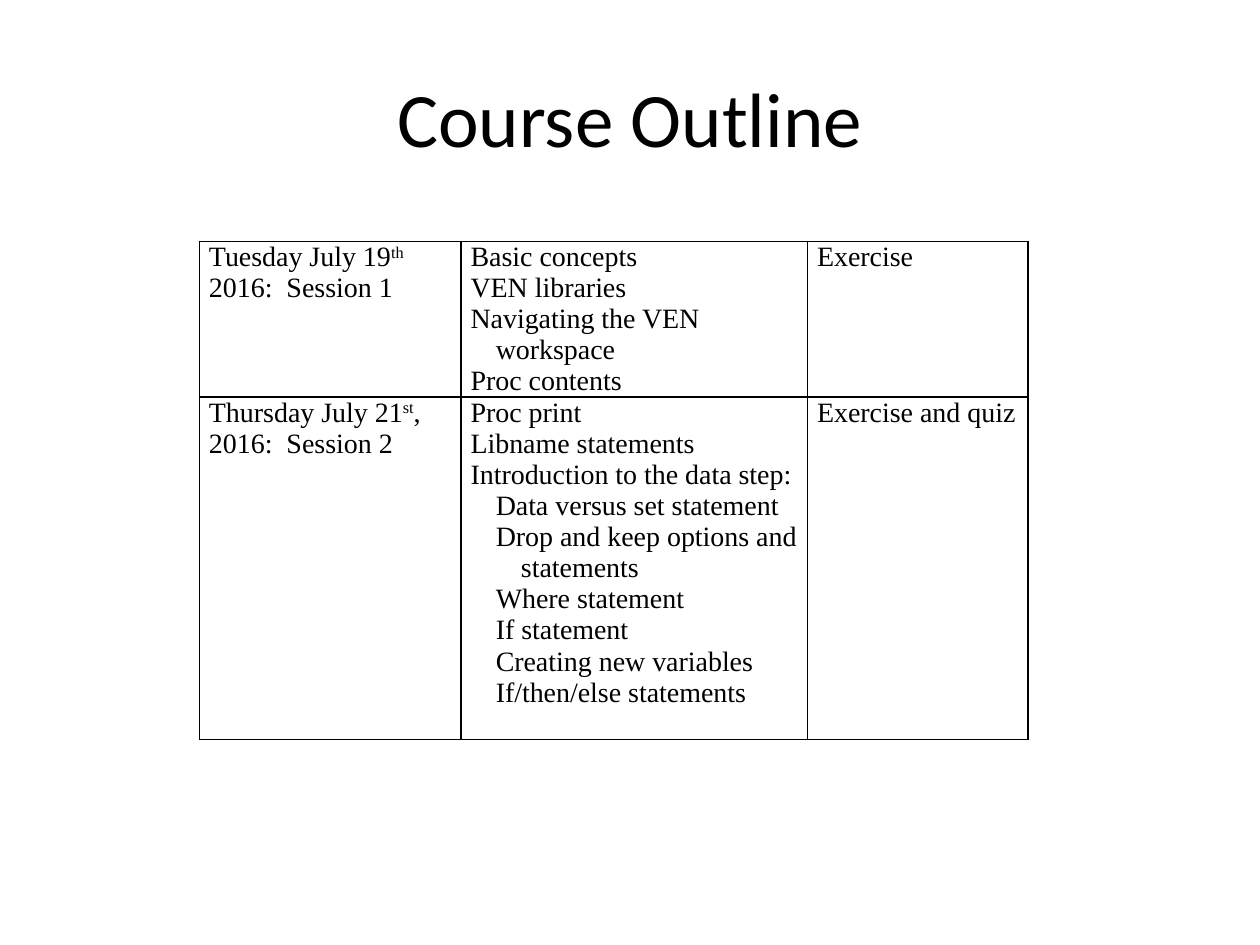
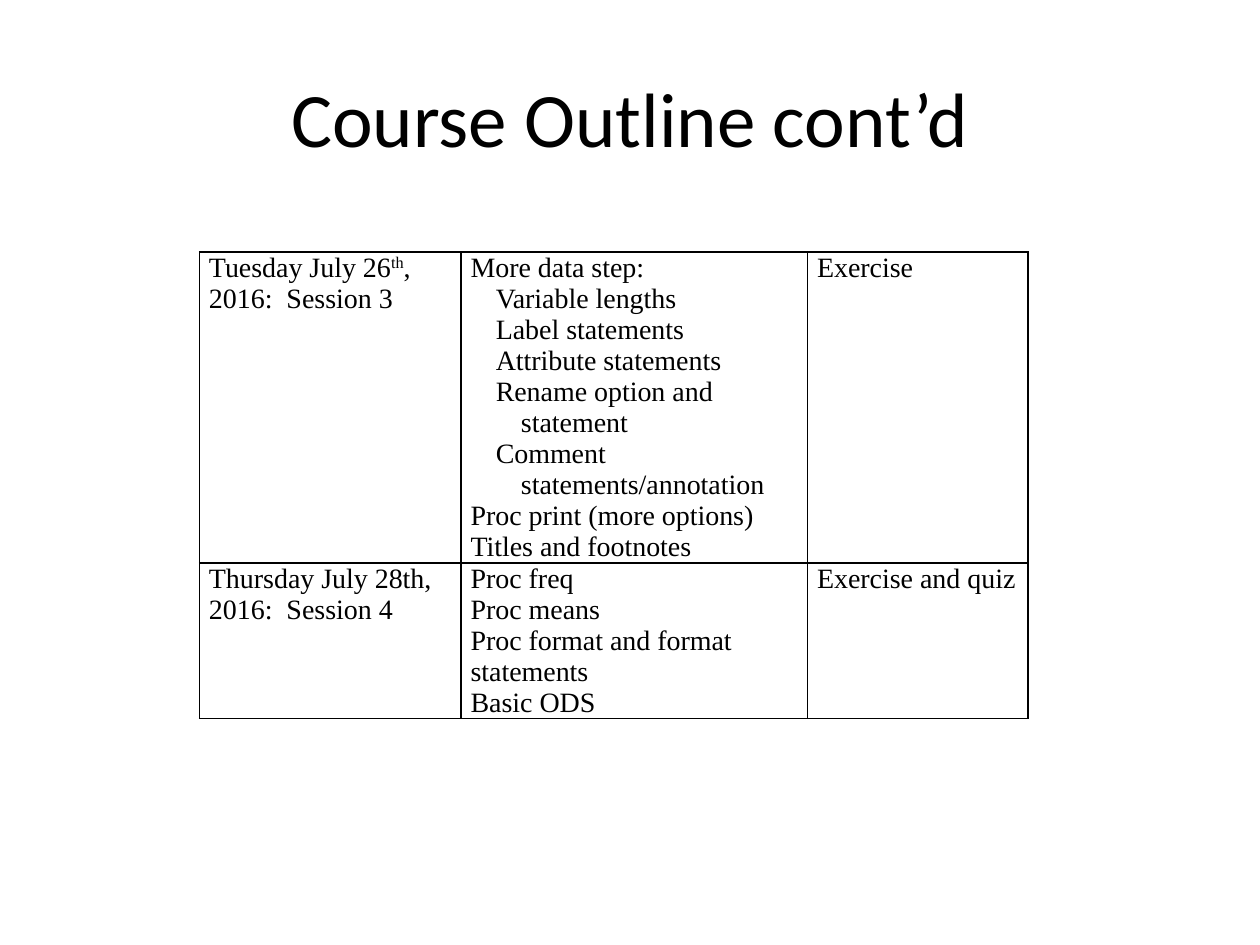
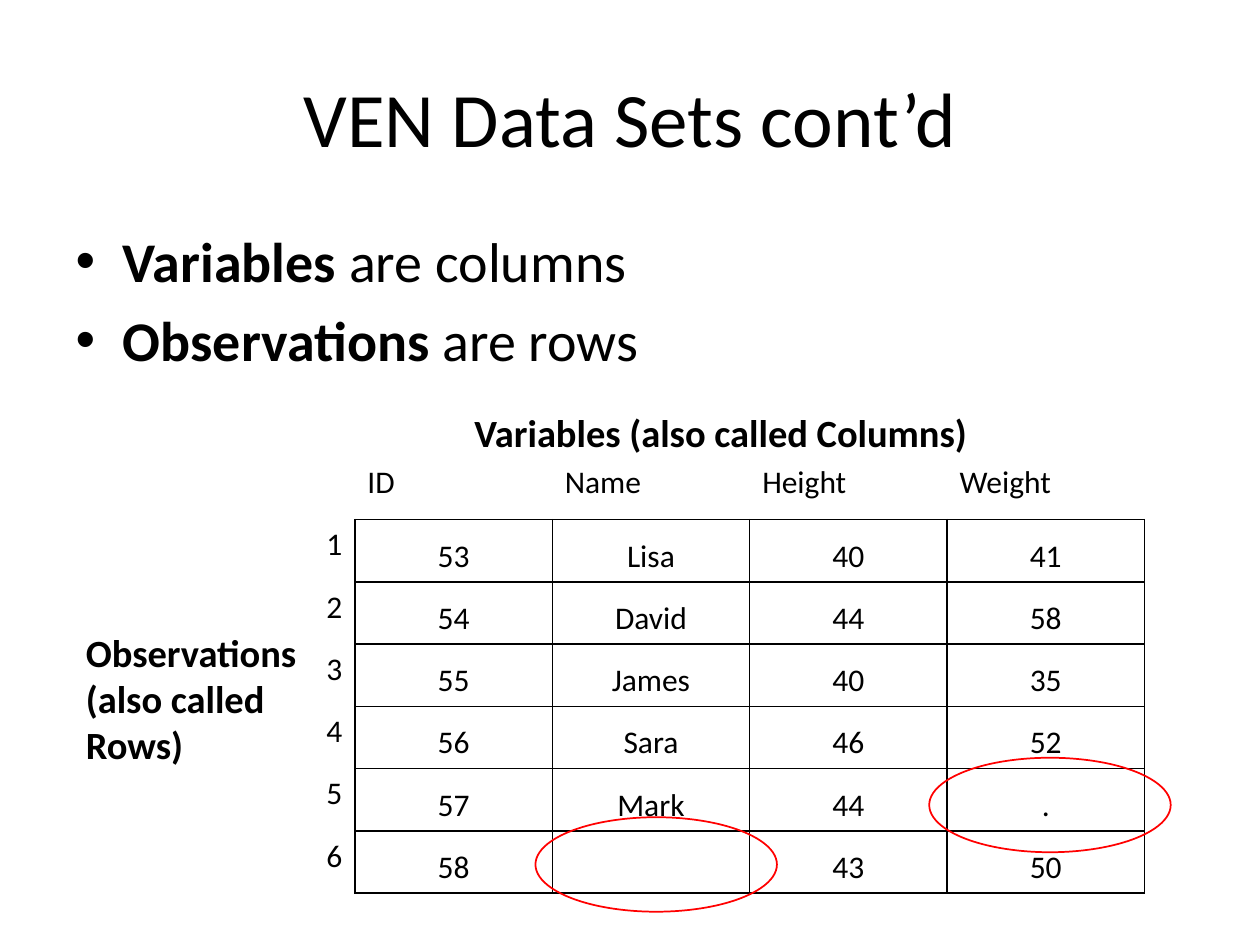
from pptx import Presentation
from pptx.dml.color import RGBColor
from pptx.enum import shapes, text
from pptx.oxml import parse_xml
from pptx.oxml import ns
from pptx.util import Pt

BLACK = RGBColor(0, 0, 0)
RED = RGBColor(255, 0, 0)
SANS = "Calibri"
SERIF = "Times New Roman"
LEFT, CENTER, RIGHT = text.PP_ALIGN.LEFT, text.PP_ALIGN.CENTER, text.PP_ALIGN.RIGHT
SIDES = "LRTB"
STEP = 14.4
PLAN_COLS = [149.5, 198, 126]

TITLES = ["Course Outline", "Course Outline cont’d", "VEN Data Sets cont’d"]

JULY_19 = [
    [(0, "Tuesday July 19|th| 2016:  Session 1")],
    [(1, "Basic concepts"), (1, "VEN libraries"),
     (1, "Navigating the VEN workspace"), (1, "Proc contents")],
    [(0, "Exercise")],
]
JULY_21 = [
    [(0, "Thursday July 21|st|, 2016:  Session 2")],
    [(0, "Proc print"), (0, "Libname statements"),
     (0, "Introduction to the data step:"),
     (2, "Data versus set statement"),
     (2, "Drop and keep options and statements"),
     (2, "Where statement"), (2, "If statement"),
     (2, "Creating new variables"), (2, "If/then/else statements")],
    [(0, "Exercise and quiz")],
]
JULY_26 = [
    [(0, "Tuesday July 26|th|, 2016:  Session 3")],
    [(1, "More data step:"), (2, "Variable lengths"),
     (2, "Label statements"), (2, "Attribute statements"),
     (2, "Rename option and statement"),
     (2, "Comment statements/annotation"),
     (1, "Proc print (more options)"), (0, "Titles and footnotes")],
    [(0, "Exercise")],
]
JULY_28 = [
    [(0, "Thursday July 28th, 2016:  Session 4")],
    [(0, "Proc freq"), (0, "Proc means"),
     (0, "Proc format and format statements"), (0, "Basic ODS")],
    [(0, "Exercise and quiz")],
]
DATA = [
    ["", "ID", "Name", "Height", "Weight"],
    ["1", "53", "Lisa", "40", "41"],
    ["2", "54", "David", "44", "58"],
    ["3", "55", "James", "40", "35"],
    ["4", "56", "Sara", "46", "52"],
    ["5", "57", "Mark", "44", "."],
    ["6", "58", "", "43", "50"],
]


def raise_up(font):
    font._element.set("baseline", "30000")


def embolden(font):
    font.bold = True


def write(para, words, size, face=SANS, align=LEFT, mark=embolden):
    para.alignment = align
    para.font.size = Pt(size)
    para.font.name = face
    para.font.color.rgb = BLACK
    for i, part in enumerate(words.split("|")):
        if part:
            run = para.add_run()
            run.text = part
            if i % 2:
                mark(run.font)


def paras(frame, count):
    for _ in range(count - 1):
        frame.add_paragraph()
    return frame.paragraphs


def place(item, left, top, width, height):
    item.left, item.top = Pt(left), Pt(top)
    item.width, item.height = Pt(width), Pt(height)


def add_slide(deck, layout, title):
    slide = deck.slides.add_slide(deck.slide_layouts[layout])
    place(slide.shapes.title, 36, 21.6, 648, 90)
    frame = slide.shapes.title.text_frame
    frame.vertical_anchor = text.MSO_ANCHOR.MIDDLE
    write(frame.paragraphs[0], title, 44, align=CENTER)
    return slide


def add_grid(slide, left, top, cols, rows):
    table = slide.shapes.add_table(
        len(rows), len(cols), Pt(left), Pt(top), Pt(sum(cols)), Pt(sum(rows))).table
    table.first_row = table.horz_banding = False
    for col, width in zip(table.columns, cols):
        col.width = Pt(width)
    for row, height in zip(table.rows, rows):
        row.height = Pt(height)
    return table


def edge(cell, drawn):
    cell.fill.background()
    props = cell._tc.get_or_add_tcPr()
    for i, side in enumerate(SIDES):
        paint = "<a:noFill/>"
        if side in drawn:
            paint = f'<a:solidFill><a:srgbClr val="{BLACK}"/></a:solidFill>'
        props.insert(i, parse_xml(
            f'<a:ln{side} {ns.nsdecls("a")} w="{Pt(1)}">{paint}</a:ln{side}>'))


def add_plan(slide, top, rows, days):
    table = add_grid(slide, 114, top, PLAN_COLS, rows)
    for r, day in enumerate(days):
        for c, lines in enumerate(day):
            cell = table.cell(r, c)
            edge(cell, SIDES)
            cell.margin_left = cell.margin_right = Pt(5.4)
            cell.margin_top = cell.margin_bottom = 0
            for para, (level, words) in zip(paras(cell.text_frame, len(lines)), lines):
                write(para, words, 16, SERIF, mark=raise_up)
                if level:
                    props = para._p.get_or_add_pPr()
                    props.set("marL", str(Pt(STEP * level)))
                    props.set("indent", str(Pt(-STEP)))


def add_data(slide):
    table = add_grid(slide, 90, 261.3, [112.8] * 5, [35.6] * 7)
    for r, row in enumerate(DATA):
        for c, value in enumerate(row):
            cell = table.cell(r, c)
            if r and c:
                drawn, align = SIDES, CENTER
                cell.vertical_anchor = text.MSO_ANCHOR.BOTTOM
            elif r:
                drawn, align = "R", RIGHT
            else:
                drawn, align = "B" if c else "", LEFT
            edge(cell, drawn)
            write(cell.text_frame.paragraphs[0], value, 18, align=align)


def add_list(slide, lines):
    body = slide.placeholders[1]
    place(body, 36, 126, 648, 356.4)
    for para, words in zip(paras(body.text_frame, len(lines)), lines):
        write(para, words, 32)


def add_label(slide, words, left, top, width, height):
    box = slide.shapes.add_textbox(Pt(left), Pt(top), Pt(width), Pt(height))
    frame = box.text_frame
    frame.word_wrap = True
    frame.auto_size = text.MSO_AUTO_SIZE.SHAPE_TO_FIT_TEXT
    write(frame.paragraphs[0], f"|{words}|", 22)


def add_ring(slide, left, top):
    ring = slide.shapes.add_shape(
        shapes.MSO_SHAPE.OVAL, Pt(left), Pt(top), Pt(138), Pt(54))
    ring.shadow.inherit = False
    ring.fill.background()
    ring.line.color.rgb = RED
    ring.line.width = Pt(1)


def main():
    deck = Presentation()
    deck.slide_width, deck.slide_height = Pt(720), Pt(540)

    add_plan(add_slide(deck, 5, TITLES[0]), 138, [89, 195.5], [JULY_19, JULY_21])
    add_plan(add_slide(deck, 5, TITLES[1]), 144, [177.5, 88.5], [JULY_26, JULY_28])

    slide = add_slide(deck, 1, TITLES[2])
    add_list(slide, ["|Variables| are columns", "|Observations| are rows"])
    add_data(slide)
    add_label(slide, "Observations (also called Rows)", 42, 355.7, 141, 87)
    add_label(slide, "Variables (also called Columns)", 264, 230.3, 336, 34)
    add_ring(slide, 306, 467)
    add_ring(slide, 531, 433)

    deck.save("out.pptx")


if __name__ == "__main__":
    main()
